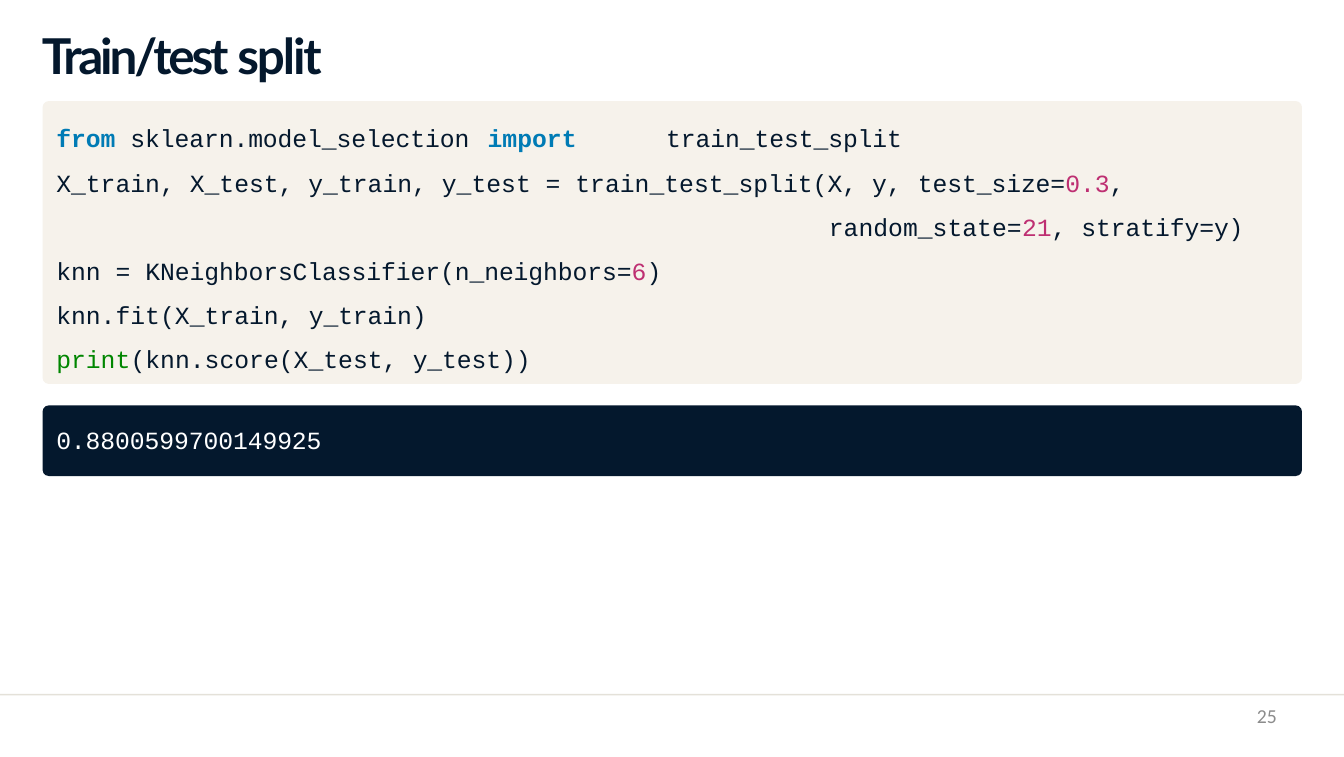
import pptx
import pptx.dml.color
import pptx.enum.shapes
import pptx.enum.text
import pptx.oxml
import pptx.oxml.ns
import pptx.util

Cm = pptx.util.Cm
Pt = pptx.util.Pt

COLORS = {
    "ink": "04182D", "sand": "F6F2EB", "rule": "E4E1D9", "keyword": "007BB5",
    "number": "BE2F72", "builtin": "008600", "white": "FFFFFF", "grey": "8C8C8C",
}

TITLE = [[("Train/test ", "ink", -2.9), ("split", "ink", -1.9)]]
CODE = [
    [("from", "keyword", 0), (" sklearn.model_selection", "ink", -0.1),
     ("\timport", "keyword", 0), ("\ttrain_test_split", "ink", -0.1)],
    [("X_train, X_test, y_train, y_test = train_test_split(X, y, ", "ink", 0),
     ("test_size=", "ink", -0.1), ("0.3", "number", -0.1), (",", "ink", -0.1)],
    [("random_state=", "ink", 0), ("21", "number", 0), (", ", "ink", 0),
     ("stratify=y)", "ink", -0.1)],
    [("knn = ", "ink", 0), ("KNeighborsClassifier(n_neighbors=", "ink", -0.1),
     ("6", "number", -0.1), (")", "ink", -0.1)],
    [("knn.fit(X_train, ", "ink", 0), ("y_train)", "ink", -0.1)],
    [("print", "builtin", 0), ("(knn.score(X_test, ", "ink", 0),
     ("y_test))", "ink", -0.1)],
]
OUTPUT = [[("0.8800599700149925", "white", -0.1)]]
PAGE = [[("25", "grey", 0)]]

WIDTH, HEIGHT = 43.21, 24.33
PANEL_LEFT, PANEL_WIDTH, RADIUS = 1.37, 40.49, 0.2
TEXT_LEFT = 1.81
IMPORT_TABS = (13.87, 19.61)
ARGUMENT_INDENT = 24.84


def rgb(name):
    """Return the named colour."""
    return pptx.dml.color.RGBColor.from_string(COLORS[name])


def add_block(s, kind, color, left, top, width, height):
    """Add a plain filled shape."""
    sp = s.shapes.add_shape(kind, Cm(left), Cm(top), Cm(width), Cm(height))
    sp.shadow.inherit = False
    sp.fill.solid()
    sp.fill.fore_color.rgb = rgb(color)
    sp.line.fill.background()
    return sp


def add_panel(s, color, top, height):
    """Add a rounded panel of the common width and corner radius."""
    kind = pptx.enum.shapes.MSO_SHAPE.ROUNDED_RECTANGLE
    sp = add_block(s, kind, color, PANEL_LEFT, top, PANEL_WIDTH, height)
    sp.adjustments[0] = RADIUS / height


def add_text(s, lines, box, font, size, bold=False, gap=0):
    """Add a text box from lines of (text, colour, letter spacing) runs."""
    tf = s.shapes.add_textbox(*map(Cm, box)).text_frame
    tf.word_wrap = True
    tf.margin_left = tf.margin_right = tf.margin_top = tf.margin_bottom = 0
    for i, runs in enumerate(lines):
        p = tf.paragraphs[0] if i == 0 else tf.add_paragraph()
        if i:
            p.space_before = Pt(gap)
        for text, color, spacing in runs:
            r = p.add_run()
            r.text = text
            r.font.name = font
            r.font.size = Pt(size)
            r.font.bold = bold or color == "keyword"
            r.font.color.rgb = rgb(color)
            r.font._element.set("spc", str(round(spacing * 100)))
    return tf


def add_tabs(p, stops):
    """Give a paragraph left tab stops."""
    qn = pptx.oxml.ns.qn
    pPr = p._p.get_or_add_pPr()
    tabs = pPr.makeelement(qn("a:tabLst"), {})
    for stop in stops:
        tabs.append(tabs.makeelement(qn("a:tab"), {"pos": str(Cm(stop)), "algn": "l"}))
    pPr.append(tabs)


def main():
    """Build the train/test split slide."""
    prs = pptx.Presentation()
    prs.slide_width, prs.slide_height = Cm(WIDTH), Cm(HEIGHT)
    s = prs.slides.add_slide(prs.slide_layouts[6])

    add_block(s, pptx.enum.shapes.MSO_SHAPE.RECTANGLE, "rule", 0, 22.3, WIDTH, 0.05)
    add_text(s, TITLE, (1.35, 0.81, 10.69, 1.93), "Lato", 45, bold=True)

    add_panel(s, "sand", 3.25, 9.09)
    add_panel(s, "ink", 13.03, 2.27)
    tf = add_text(s, CODE, (TEXT_LEFT, 3.96, 38.28, 7.72), "Courier New", 22.5, gap=13.2)
    add_tabs(tf.paragraphs[0], IMPORT_TABS)
    tf.paragraphs[2]._p.get_or_add_pPr().set("marL", str(Cm(ARGUMENT_INDENT)))
    add_text(s, OUTPUT, (TEXT_LEFT, 13.64, 8.66, 0.99), "Courier New", 22.5)

    tf = add_text(s, PAGE, (31.12, 22.63, 9.93, 1.22), "Calibri", 18)
    tf.paragraphs[0].alignment = pptx.enum.text.PP_ALIGN.RIGHT
    prs.save("out.pptx")


if __name__ == "__main__":
    main()
